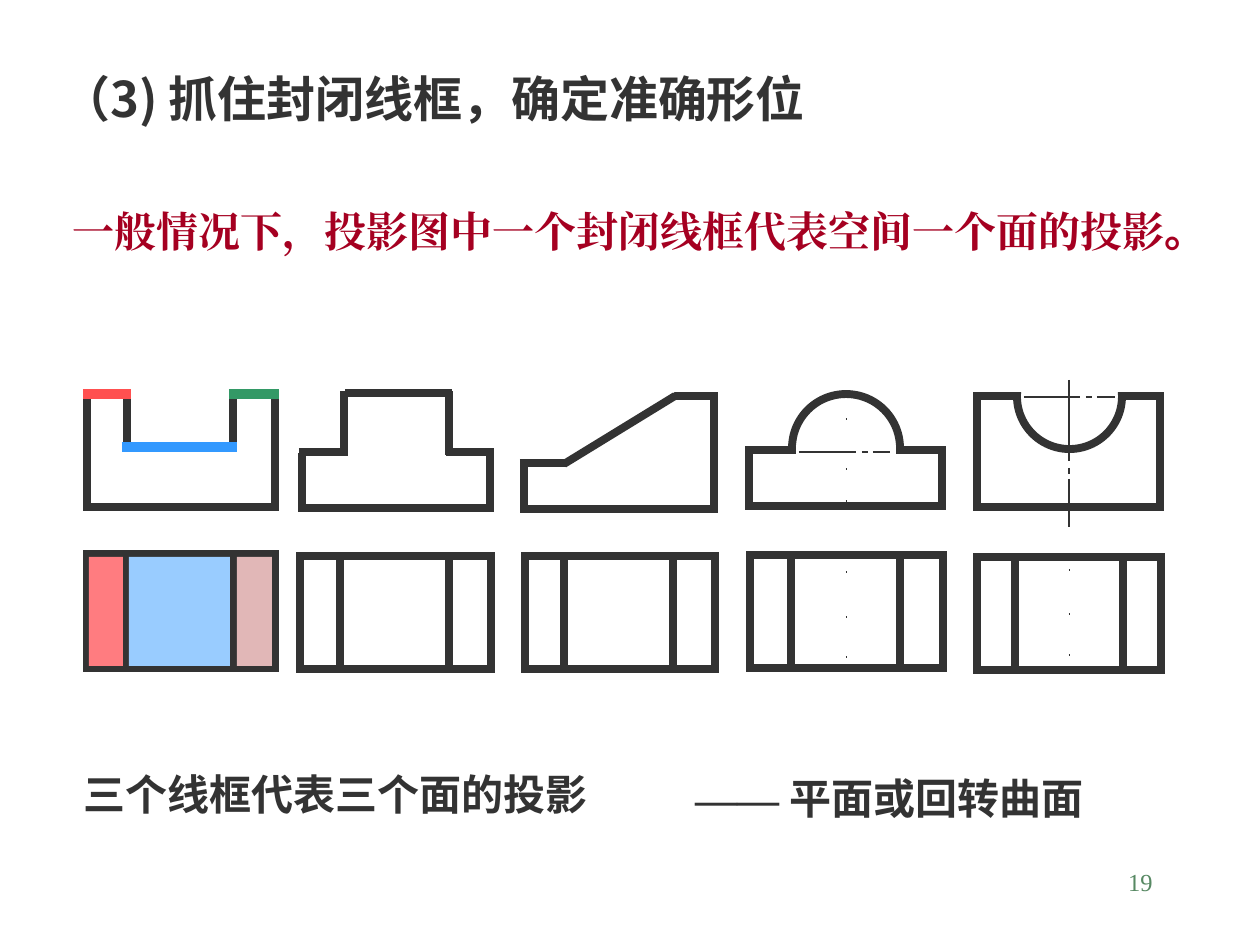
from lxml import etree
from pptx import Presentation
from pptx import util as u
from pptx.dml.color import RGBColor
from pptx.enum import shapes, text
from pptx.oxml.ns import qn

SCALE = 914400 / 126
COLOURS = {
    "white": "FFFFFF", "ink": "333333", "wine": "A50021", "sage": "578963",
    "pale": "E6F0FF", "rose": "FF7C80", "sky": "99CCFF", "dusk": "E1B7B7",
    "red": "FF5050", "blue": "3399FF", "green": "339966",
}
SANS, SERIF = "Noto Sans CJK SC", "Times New Roman"
OUTLINE, EDGE, AXIS = 4.5, 6, 0.75
RECT = shapes.MSO_SHAPE.RECTANGLE
OVAL = shapes.MSO_SHAPE.OVAL
TRIANGLE = shapes.MSO_SHAPE.RIGHT_TRIANGLE


def px(value):
    return u.Emu(round(value * SCALE))


def rgb(name):
    return RGBColor.from_string(COLOURS[name])


def style_line(line, colour, width):
    """Set colour and width, with sharp corners."""
    line.color.rgb = rgb(colour)
    line.width = u.Pt(width)
    etree.SubElement(line._get_or_add_ln(), qn("a:miter"), lim="800000")


def add_shape(page, kind, bounds, fill="white", outline="ink"):
    shape = page.shapes.add_shape(kind, *map(px, bounds))
    shape.shadow.inherit = False
    shape.fill.solid()
    shape.fill.fore_color.rgb = rgb(fill)
    if outline:
        style_line(shape.line, outline, OUTLINE)
    else:
        shape.line.fill.background()
    return shape


def add_mask(page, kind, bounds):
    """Cover part of an outline with a white shape."""
    return add_shape(page, kind, bounds, outline="white")


def add_line(page, x1, y1, x2, y2, colour="ink", width=OUTLINE):
    line = page.shapes.add_connector(
        shapes.MSO_CONNECTOR.STRAIGHT, px(x1), px(y1), px(x2), px(y2))
    style_line(line.line, colour, width)
    etree.SubElement(line._element.spPr, qn("a:effectLst"))


def add_text(page, bounds, spans, size, colour, bold=True,
             align=text.PP_ALIGN.LEFT, anchor=text.MSO_ANCHOR.TOP):
    """Add one paragraph made of (wording, font name) spans."""
    box = page.shapes.add_textbox(*map(px, bounds))
    frame = box.text_frame
    frame.word_wrap = True
    frame.vertical_anchor = anchor
    para = frame.paragraphs[0]
    para.alignment = align
    for wording, font in spans:
        span = para.add_run()
        span.text = wording
        span.font.name = font
        span.font.size = u.Pt(size)
        span.font.bold = bold
        span.font.color.rgb = rgb(colour)
        etree.SubElement(span._r.get_or_add_rPr(), qn("a:ea"), typeface=font)


def add_plan(page, bounds, dividers, fill="white"):
    """Draw a top view: a frame split by two upright edges."""
    add_shape(page, RECT, bounds, fill)
    top, height = bounds[1], bounds[3]
    for x in dividers:
        add_line(page, x, top, x, top + height)


def add_axis_dots(page, x, heights):
    for y in heights:
        add_line(page, x, y, x + 1, y, width=AXIS)


def add_horizontal_axis(page, y, dashes):
    for start, end in dashes:
        add_line(page, start, y, end, y, width=AXIS)


def add_notched_block(page):
    add_shape(page, RECT, (87, 394, 188, 113))
    add_shape(page, RECT, (127, 394, 106, 53))
    add_line(page, 131, 394, 229, 394, "white", EDGE)
    add_plan(page, (87, 554, 188, 114), (126, 233), "pale")
    for x, width, fill in ((89, 34, "rose"), (129, 101, "sky"), (237, 35, "dusk")):
        add_shape(page, RECT, (x, 557, width, 109), fill, None)
    for x1, x2, y, colour in ((83, 131, 394, "red"), (122, 237, 447, "blue"),
                              (229, 279, 394, "green")):
        add_line(page, x1, y, x2, y, colour, EDGE)


def add_sloped_block(page):
    add_plan(page, (525, 556, 190, 113), (564, 673))
    add_shape(page, RECT, (524, 396, 190, 113))
    add_mask(page, TRIANGLE, (583, 372, 69, 105)).rotation = 90.2
    add_mask(page, RECT, (486, 392, 81, 67))
    add_line(page, 520, 463, 567, 463)
    add_line(page, 564, 464, 675, 396)


def add_stepped_block(page):
    add_plan(page, (300, 556, 191, 113), (340, 449))
    add_shape(page, RECT, (302, 393, 188, 115))
    add_mask(page, RECT, (301, 387, 40, 62))
    add_mask(page, RECT, (456, 382, 40, 67))
    for x1, x2, riser in ((299, 348, 344), (446, 494, 449)):
        add_line(page, x1, 452, x2, 452)
        add_line(page, riser, 455, riser, 391)


def add_domed_block(page):
    add_plan(page, (750, 555, 193, 113), (791, 900))
    add_axis_dots(page, 846, (572, 617, 657))
    add_shape(page, OVAL, (792, 394, 108, 108))
    add_shape(page, RECT, (749, 450, 193, 56))
    add_line(page, 796, 450, 896, 450, "white", EDGE)
    add_axis_dots(page, 846, (419, 469, 501))
    add_horizontal_axis(page, 452, ((799, 856), (862, 868), (873, 890)))


def add_grooved_block(page):
    add_plan(page, (977, 557, 184, 113), (1015, 1123))
    add_axis_dots(page, 1069, (570, 614, 655))
    add_shape(page, RECT, (977, 396, 183, 111))
    add_shape(page, OVAL, (1017, 344, 105, 105))
    add_mask(page, RECT, (997, 321, 146, 67))
    for top, bottom in ((380, 461), (468, 474), (479, 527)):
        add_line(page, 1069, top, 1069, bottom, width=AXIS)
    add_horizontal_axis(page, 397, ((1024, 1080), (1086, 1092), (1097, 1115)))


def main():
    deck = Presentation()
    deck.slide_width, deck.slide_height = u.Inches(10), u.Inches(7.5)
    page = deck.slides.add_slide(deck.slide_layouts[6])

    add_text(page, (903, 861, 262, 63), [("19", SERIF)], 14, "sage",
             bold=False, align=text.PP_ALIGN.RIGHT)
    add_text(page, (49, 62, 885, 72),
             [("（3) 抓住封闭线框，确定准确形位", SANS)], 28, "ink")
    add_notched_block(page)
    add_sloped_block(page)
    add_stepped_block(page)
    add_domed_block(page)
    add_grooved_block(page)
    add_text(page, (71, 762, 663, 63),
             [("三个线框代表三个面的投影", SANS)], 24, "ink")
    add_text(page, (60, 199, 1168, 63),
             [("一般情况下，投影图中一个封闭线框代表空间一个面的投影", SERIF),
              ("。", SANS)], 24, "wine", anchor=text.MSO_ANCHOR.MIDDLE)
    add_text(page, (625, 766, 529, 63),
             [("—— ", SERIF), ("平面或回转曲面", SANS)], 24, "ink",
             align=text.PP_ALIGN.CENTER)
    deck.save("out.pptx")


if __name__ == "__main__":
    main()
